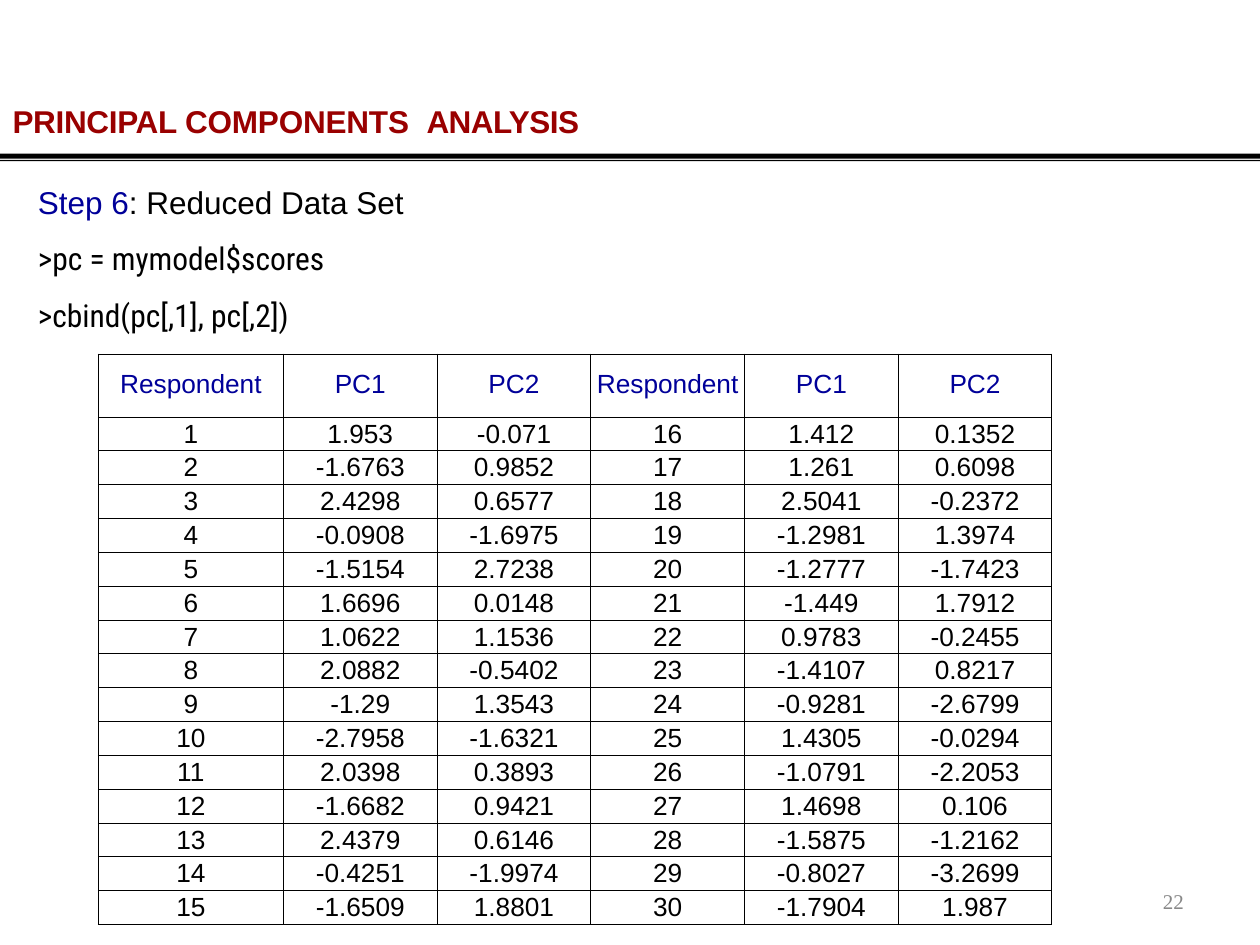
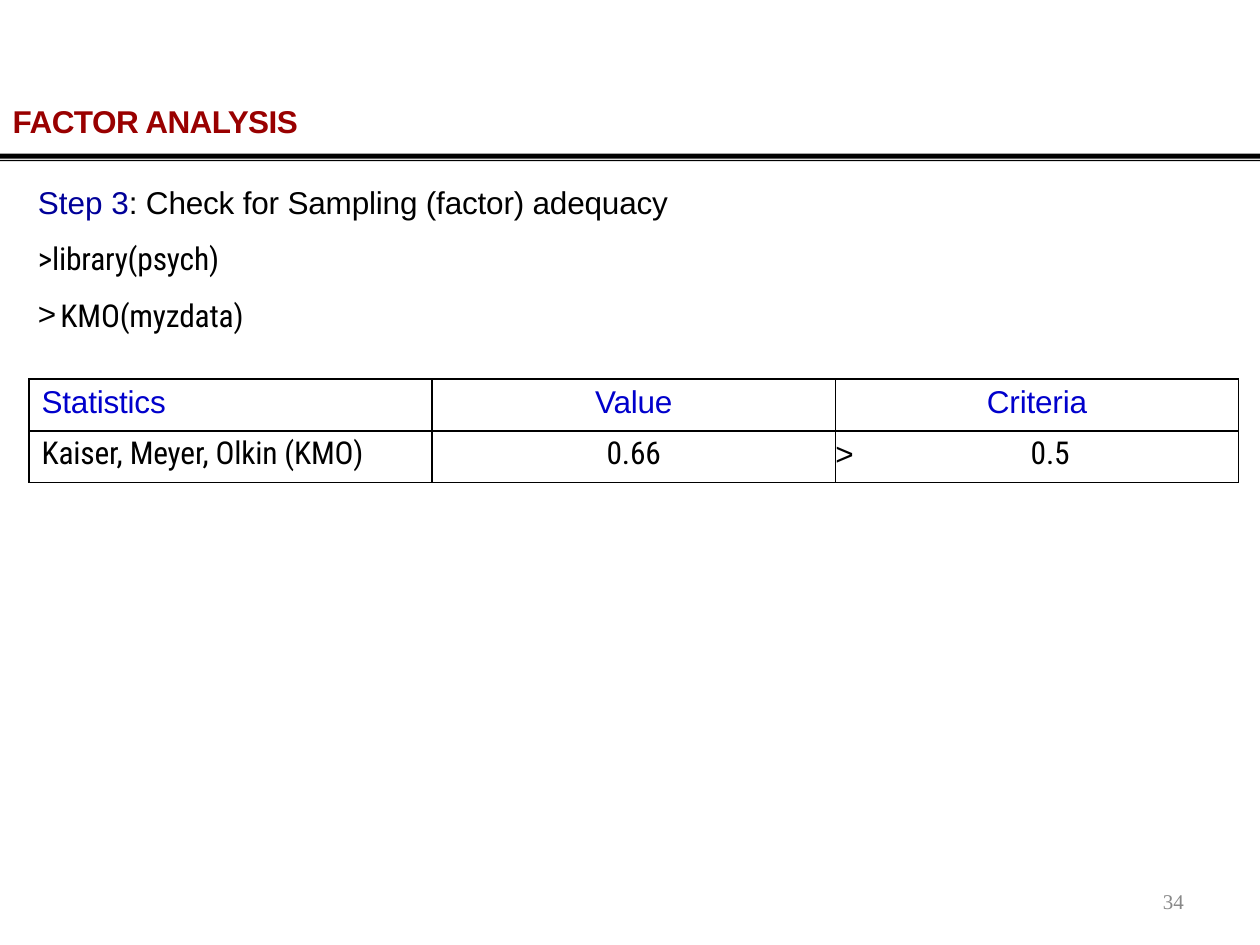
from lxml import etree
from pptx import Presentation
from pptx import util as u
from pptx.dml.color import RGBColor
from pptx.enum import text
from pptx.oxml import ns

SANS, CODE, SERIF = "Arial", "Roboto Condensed", "Times New Roman"
BLACK, RED, NAVY, BLUE, GREY = "000000", "990000", "000099", "0000CC", "888888"
CENTER, LEFT = text.PP_ALIGN.CENTER, text.PP_ALIGN.LEFT


def color(hex_string):
    return RGBColor.from_string(hex_string)


def child(parent, tag, **attributes):
    return etree.SubElement(parent, ns.qn(tag), attributes)


class Deck:
    def __init__(self):
        self.prs = Presentation()
        self.prs.slide_width, self.prs.slide_height = u.Inches(10), u.Inches(7.5)
        self.layout = self.prs.slide_layouts[1]
        self.slide = None

    def start(self, title_runs, page):
        self.slide = self.prs.slides.add_slide(self.layout)
        if len(self.prs.slides) == 1:
            self.band()
        title = self.frame(self.slide.shapes.title, 0.1, 0.81, 9, 0.36)
        self.runs(title.paragraphs[0], title_runs, size=18, fill=RED, bold=True)
        box = self.slide.shapes.add_textbox(0, 0, 0, 0)
        number = self.frame(box, 9.23, 7.05, 0.27, 0.22)
        self.runs(number.paragraphs[0], [(page, {})], size=12, font=SERIF, fill=GREY)

    def band(self):
        builder = self.slide.shapes.build_freeform(0, u.Inches(1.22), scale=1.0)
        for top, bottom in ((1.22, 1.26), (1.27, 1.28)):
            y1, y2, right = u.Inches(top), u.Inches(bottom), u.Inches(10)
            builder.move_to(0, y1)
            builder.add_line_segments([(right, y1), (right, y2), (0, y2)], close=True)
        rule = builder.convert_to_shape()
        rule.shadow.inherit = False
        rule.fill.solid()
        rule.fill.fore_color.rgb = color(BLACK)
        rule.line.fill.background()
        rule.element.nvSpPr.cNvPr.set("id", "50")
        self.layout.shapes.element.append(rule.element)

    def frame(self, shape, left, top, width, height):
        shape.left, shape.top = u.Inches(left), u.Inches(top)
        shape.width, shape.height = u.Inches(width), u.Inches(height)
        frame = shape.text_frame
        frame.margin_left = frame.margin_right = frame.margin_top = frame.margin_bottom = 0
        frame.word_wrap = True
        frame.auto_size = text.MSO_AUTO_SIZE.NONE
        frame.vertical_anchor = text.MSO_ANCHOR.TOP
        frame.paragraphs[0].alignment = LEFT
        return frame

    def runs(self, paragraph, runs, **shared):
        for words, own in runs:
            style = {"size": 18, "font": SANS, "fill": BLACK, "bold": False, "spacing": 0,
                     **shared, **own}
            run = paragraph.add_run()
            run.text = words
            run.font.size = u.Pt(style["size"])
            run.font.name = style["font"]
            run.font.bold = style["bold"]
            run.font.color.rgb = color(style["fill"])
            if style["spacing"]:
                run.font._element.set("spc", str(round(style["spacing"] * 100)))

    def bullet(self, paragraph, mark, indent):
        props = paragraph._p.get_or_add_pPr()
        props.set("marL", str(u.Inches(indent)))
        props.set("indent", str(-u.Inches(indent)))
        if not mark:
            child(props, "a:buNone")
            return
        child(props, "a:buFont", typeface=SANS)
        child(props, "a:buChar", char=mark)
        child(child(props, "a:tabLst"), "a:tab", pos=str(u.Inches(indent)), algn="l")

    def steps(self, lines):
        body = self.frame(self.slide.placeholders[1], 0.3, 1.45, 8, 1.3)
        for index, (mark, runs) in enumerate(lines):
            line = body.paragraphs[0] if index == 0 else body.add_paragraph()
            line.alignment = LEFT
            line.space_before = u.Pt(10.8 if index else 0)
            self.bullet(line, mark, 0.18 if mark else 0)
            self.runs(line, runs)

    def table(self, left, top, widths, heights, border):
        frame = self.slide.shapes.add_table(
            len(heights), len(widths), u.Inches(left), u.Inches(top),
            u.Inches(sum(widths)), u.Inches(sum(heights)))
        table = frame.table
        table.first_row = table.horz_banding = False
        for column, width in zip(table.columns, widths):
            column.width = u.Inches(width)
        for row, height in zip(table.rows, heights):
            row.height = u.Inches(height)
        for cell in table.iter_cells():
            cell.fill.background()
            self.borders(cell, border)
        return table

    def borders(self, cell, width):
        props = cell._tc.get_or_add_tcPr()
        for index, side in enumerate(("a:lnL", "a:lnR", "a:lnT", "a:lnB")):
            line = child(props, side, w=str(u.Pt(width)))
            child(child(line, "a:solidFill"), "a:srgbClr", val=BLACK)
            props.insert(index, line)

    def cell(self, cell, words, align=CENTER, left=0, bottom=0, mark=None, indent=0, **style):
        cell.margin_left, cell.margin_bottom = u.Inches(left), u.Inches(bottom)
        cell.margin_right = cell.margin_top = 0
        cell.vertical_anchor = text.MSO_ANCHOR.MIDDLE
        paragraph = cell.text_frame.paragraphs[0]
        paragraph.alignment = align
        if mark:
            self.bullet(paragraph, mark, indent)
        self.runs(paragraph, [(str(words), {})], **style)


SCORES = [
    (1.953, -0.071), (-1.6763, 0.9852), (2.4298, 0.6577), (-0.0908, -1.6975),
    (-1.5154, 2.7238), (1.6696, 0.0148), (1.0622, 1.1536), (2.0882, -0.5402),
    (-1.29, 1.3543), (-2.7958, -1.6321), (2.0398, 0.3893), (-1.6682, 0.9421),
    (2.4379, 0.6146), (-0.4251, -1.9974), (-1.6509, 1.8801),
    (1.412, 0.1352), (1.261, 0.6098), (2.5041, -0.2372), (-1.2981, 1.3974),
    (-1.2777, -1.7423), (-1.449, 1.7912), (0.9783, -0.2455), (-1.4107, 0.8217),
    (-0.9281, -2.6799), (1.4305, -0.0294), (-1.0791, -2.2053), (1.4698, 0.106),
    (-1.5875, -1.2162), (-0.8027, -3.2699), (-1.7904, 1.987),
]


def reduced_data(deck):
    deck.start([("PRINCIPAL ", {"spacing": -0.2}), ("COMPONENTS", {"spacing": -0.1}),
                (" ", {"spacing": 5}), ("ANALYSIS", {"spacing": -0.3})], "22")
    deck.steps([
        (None, [("Step 6", {"fill": NAVY}), (": Reduced Data Set", {})]),
        (None, [(">pc = mymodel$scores", {"font": CODE})]),
        (None, [(">cbind(pc[,1], pc[,2])", {"font": CODE})]),
    ])
    half = len(SCORES) // 2
    respondents = [(number, *pair) for number, pair in enumerate(SCORES, 1)]
    rows = [first + second for first, second in zip(respondents[:half], respondents[half:])]
    scores = deck.table(0.78, 2.81, [1.47] + [1.22] * 5, [0.5] + [4.03 / half] * half, 0.5)
    for column, heading in enumerate(("Respondent", "PC1", "PC2") * 2):
        deck.cell(scores.cell(0, column), heading, bottom=0.02, size=15, fill=NAVY)
    for row, values in enumerate(rows, 1):
        for column, value in enumerate(values):
            deck.cell(scores.cell(row, column), value, size=15)


def sampling_adequacy(deck):
    deck.start([("FACTOR ANALYSIS", {"spacing": -0.3})], "34")
    deck.steps([
        (None, [("Step 3", {"fill": NAVY}), (": Check for Sampling (factor) adequacy", {"spacing": -0.1})]),
        (None, [(">library(psych)", {"font": CODE, "spacing": -0.1})]),
        (">", [("KMO(myzdata)", {"font": CODE, "spacing": -0.1})]),
    ])
    adequacy = deck.table(0.23, 3.01, [3.2] * 3, [0.41] * 2, 1)
    name = {"align": LEFT, "left": 0.1}
    criterion = {"align": LEFT, "mark": ">", "indent": 1.55}
    rows = [
        ({"fill": BLUE, "spacing": -0.1}, [("Statistics", name), ("Value", {}), ("Criteria", {})]),
        ({"font": CODE, "spacing": -0.1},
         [("Kaiser, Meyer, Olkin (KMO)", name), ("0.66", {}), ("0.5", criterion)]),
    ]
    for row, (style, entries) in enumerate(rows):
        for column, (words, placing) in enumerate(entries):
            deck.cell(adequacy.cell(row, column), words, bottom=0.04, **placing, **style)


def main():
    deck = Deck()
    reduced_data(deck)
    sampling_adequacy(deck)
    deck.prs.save("out.pptx")


if __name__ == "__main__":
    main()
